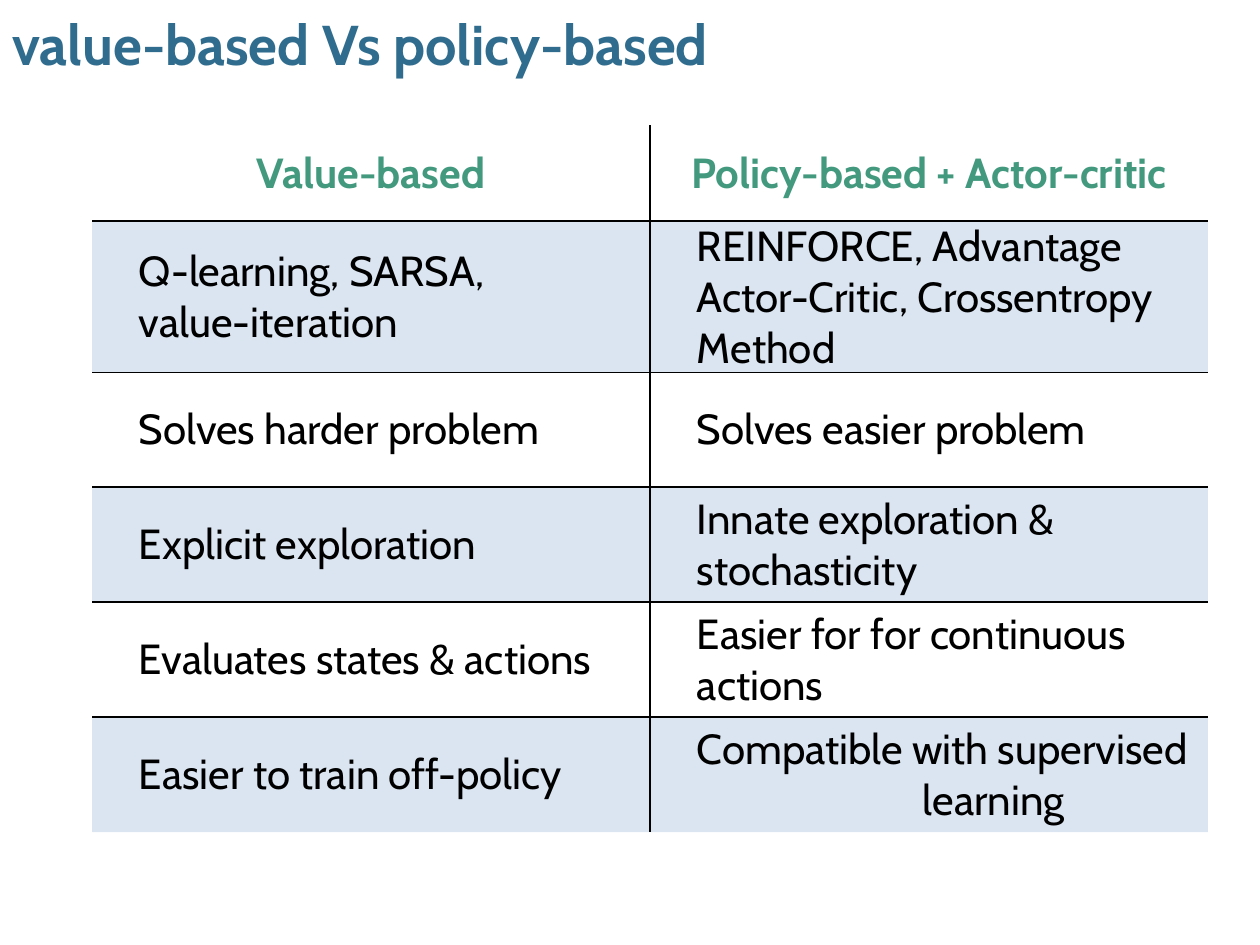
from pptx import Presentation
from pptx.dml.color import RGBColor
from pptx.enum.text import MSO_ANCHOR, PP_ALIGN
from pptx.oxml import parse_xml
from pptx.oxml.ns import nsdecls, qn
from pptx.util import Pt

# Content
TITLE = "value-based Vs policy-based"
HEADER = ("Value-based", "Policy-based + Actor-critic")
ROWS = [
    ("Q-learning, SARSA,\nvalue-iteration",
     "REINFORCE, Advantage Actor-Critic, Crossentropy Method"),
    ("Solves harder problem", "Solves easier problem"),
    ("Explicit exploration", "Innate exploration & stochasticity"),
    ("Evaluates states & actions", "Easier for for continuous actions"),
    ("Easier to train off-policy", "Compatible with supervised\nlearning"),
]

# Style and layout
FONT = "Cabin"
BLUE = RGBColor(0x30, 0x6C, 0x8D)
GREEN = RGBColor(0x42, 0x99, 0x7E)
BLACK = RGBColor(0, 0, 0)
BAND = RGBColor(0x4F, 0x81, 0xBD)
BAND_ALPHA = 20000
NO_STYLE = "{2D5ABB26-0587-4C30-8999-92F81FD0307C}"
PX = 914400 / 126
LEFT, TOP, COL_W, HEAD_H, ROW_H = 92, 125, 558, 96, 115
INDENT, LAST_INDENT = 47, 273


def px(n):
    return round(n * PX)


def style(p, size, color, bold):
    for r in p.runs:
        r.font.name, r.font.size, r.font.bold = FONT, Pt(size), bold
        r.font.color.rgb = color


def add_borders(cell, sides):
    tcPr = cell._tc.get_or_add_tcPr()
    for side in sides:
        tcPr.append(parse_xml(
            f'<a:ln{side} {nsdecls("a")} w="12700"><a:solidFill>'
            f'<a:srgbClr val="{BLACK}"/></a:solidFill></a:ln{side}>'))


def shade(cell):
    cell.fill.solid()
    cell.fill.fore_color.rgb = BAND
    clr = cell._tc.tcPr.find(".//" + qn("a:solidFill") + "[last()]")
    clr = cell._tc.tcPr.find(qn("a:solidFill")).find(qn("a:srgbClr"))
    clr.append(parse_xml(f'<a:alpha {nsdecls("a")} val="{BAND_ALPHA}"/>'))


prs = Presentation()
prs.slide_width, prs.slide_height = px(1260), px(945)
s = prs.slides.add_slide(prs.slide_layouts[6])

# Title
tf = s.shapes.add_textbox(0, 0, px(1260), px(86)).text_frame
tf.word_wrap = True
tf.vertical_anchor = MSO_ANCHOR.MIDDLE
tf.text = TITLE
style(tf.paragraphs[0], 32, BLUE, True)

# Table with inner rules only
grid = [HEADER] + ROWS
n_rows, n_cols = len(grid), len(HEADER)
table = s.shapes.add_table(n_rows, n_cols, px(LEFT), px(TOP), px(COL_W * n_cols),
                           px(HEAD_H + ROW_H * len(ROWS))).table
table.first_row = table.horz_banding = False
table._tbl.tblPr.find(qn("a:tableStyleId")).text = NO_STYLE
for col in table.columns:
    col.width = px(COL_W)

for i, texts in enumerate(grid):
    table.rows[i].height = px(ROW_H if i else HEAD_H)
    for j, text in enumerate(texts):
        cell = table.cell(i, j)
        cell.vertical_anchor = MSO_ANCHOR.MIDDLE
        cell.text = text
        inner = {"L": j > 0, "R": j < n_cols - 1, "T": i > 0, "B": i < n_rows - 1}
        add_borders(cell, [side for side, drawn in inner.items() if drawn])
        if i % 2:
            shade(cell)
        else:
            cell.fill.background()
        if i:
            cell.margin_left = cell.margin_right = 0
            cell.margin_top = cell.margin_bottom = 0
        for p in cell.text_frame.paragraphs:
            if i:
                p._p.get_or_add_pPr().set("marL", str(px(INDENT)))
                p._p.get_or_add_pPr().set("indent", "0")
            else:
                p.alignment = PP_ALIGN.CENTER
            style(p, 24, BLACK if i else GREEN, not i)

# The closing word is set further in
last = table.cell(n_rows - 1, n_cols - 1).text_frame.paragraphs[-1]
last._p.get_or_add_pPr().set("marL", str(px(LAST_INDENT)))

prs.save("out.pptx")
